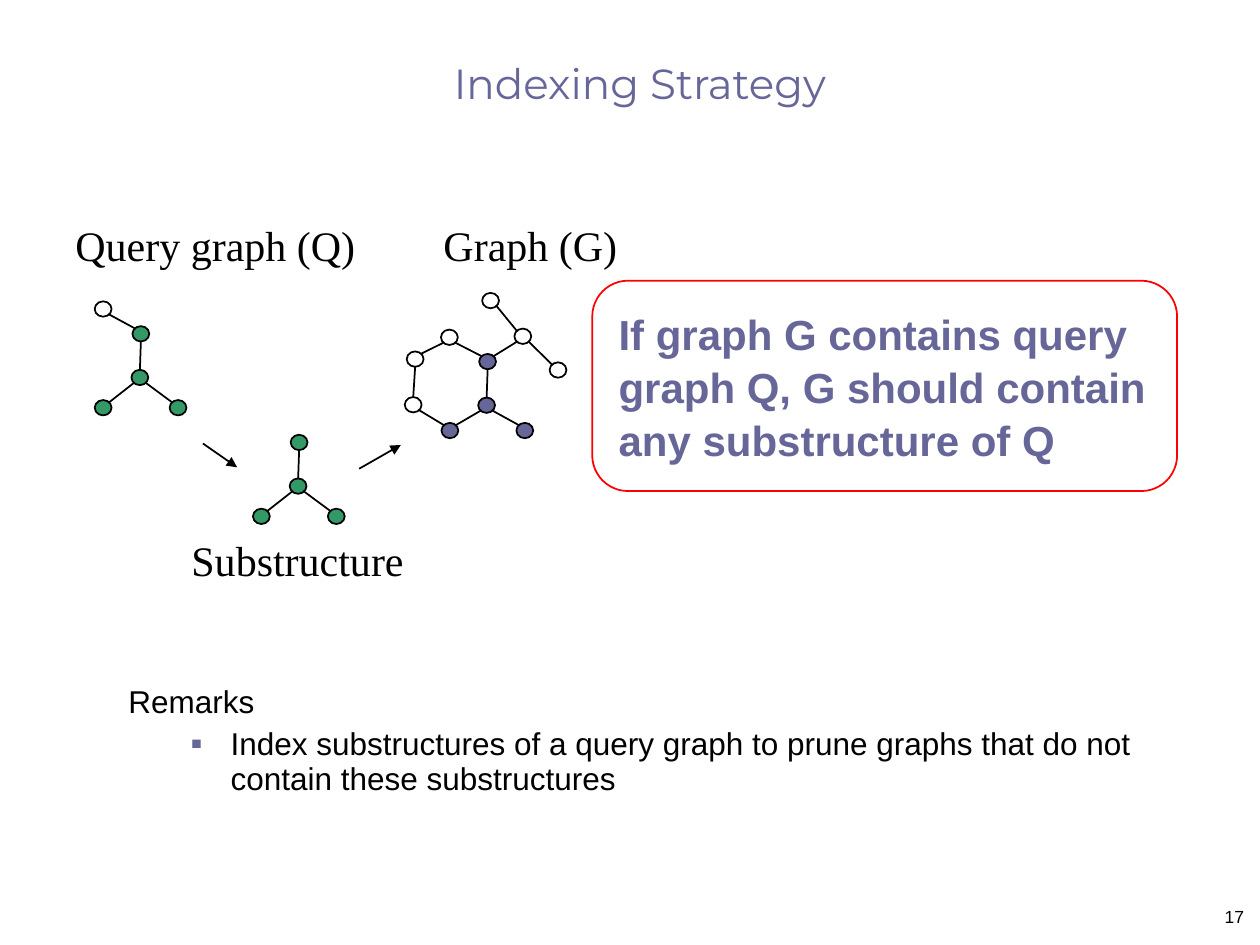
"""Build the slide about the indexing strategy for graph queries."""
from dataclasses import dataclass
from math import sqrt

from lxml import etree
from pptx import Presentation
from pptx.dml.color import RGBColor
from pptx.enum.shapes import MSO_CONNECTOR, MSO_SHAPE
from pptx.enum.text import MSO_ANCHOR, PP_ALIGN
from pptx.oxml.ns import qn
from pptx.util import Cm, Pt

ELLIPSE, ROUNDED = MSO_SHAPE.OVAL, MSO_SHAPE.ROUNDED_RECTANGLE
STRAIGHT = MSO_CONNECTOR.STRAIGHT
LEFT, CENTER, RIGHT = PP_ALIGN.LEFT, PP_ALIGN.CENTER, PP_ALIGN.RIGHT
TOP, BOTTOM = MSO_ANCHOR.TOP, MSO_ANCHOR.BOTTOM
BLACK, VIOLET, GREEN, RED = "000000", "666699", "339966", "FF0000"
NODE_WIDTH, NODE_HEIGHT = 0.34, 0.31


@dataclass(frozen=True)
class Node:
    x: float
    y: float
    fill: str = ""


@dataclass(frozen=True)
class Label:
    words: str
    box: tuple
    size: int = 24
    font: str = "Times New Roman"
    color: str = BLACK
    bold: bool = False
    align: PP_ALIGN = LEFT
    anchor: MSO_ANCHOR = TOP
    wrap: bool = True
    spacing: float = 1.0


def rgb(value: str) -> RGBColor:
    """Turn a hex string into a colour."""
    return RGBColor.from_string(value)


def set_all(target, values: dict) -> None:
    """Set every attribute named in a dict of format values."""
    for name, value in values.items():
        setattr(target, name, value)


def style_font(paragraph, label: Label) -> None:
    """Apply the label's character format to a paragraph."""
    set_all(paragraph.font, {"size": Pt(label.size), "name": label.font, "bold": label.bold})
    paragraph.font.color.rgb = rgb(label.color)


def draw_label(slide, label: Label):
    """Draw a text box and return its text frame."""
    frame = slide.shapes.add_textbox(*map(Cm, label.box)).text_frame
    set_all(frame, {"word_wrap": label.wrap, "vertical_anchor": label.anchor})
    paragraph = frame.paragraphs[0]
    set_all(paragraph, {"text": label.words, "alignment": label.align,
                        "line_spacing": label.spacing})
    style_font(paragraph, label)
    return frame


def draw_outline(slide, kind: MSO_SHAPE, box: tuple, line: str, fill: str = ""):
    """Draw an outlined shape, left open when no fill is given."""
    shape = slide.shapes.add_shape(kind, *map(Cm, box))
    shape.shadow.inherit = False
    if fill:
        shape.fill.solid()
        shape.fill.fore_color.rgb = rgb(fill)
    else:
        shape.fill.background()
    shape.line.color.rgb = rgb(line)
    shape.line.width = Pt(1)
    return shape


def draw_line(slide, ends: tuple, arrow: bool = False) -> None:
    """Draw a straight black line, with an arrowhead if wanted."""
    line = slide.shapes.add_connector(STRAIGHT, *map(Cm, ends))
    line.line.color.rgb = rgb(BLACK)
    line.line.width = Pt(1)
    properties = line._element.spPr
    if arrow:
        etree.SubElement(properties.find(qn("a:ln")), qn("a:tailEnd"), type="triangle")
    etree.SubElement(properties, qn("a:effectLst"))


def rim(node: Node, other: Node) -> tuple:
    """Find the connection site of a node that faces another node."""
    across, down = other.x - node.x, other.y - node.y
    upright = abs(across) < 0.1
    reach = 1 if upright else 1 / sqrt(2)
    side = 0 if upright else (1 if across > 0 else -1)
    return (node.x + side * reach * NODE_WIDTH / 2,
            node.y + (1 if down > 0 else -1) * reach * NODE_HEIGHT / 2)


def draw_graph(slide, nodes: dict, edges: list) -> None:
    """Draw the edges of a graph and then its nodes."""
    for start, end in edges:
        first, second = nodes[start], nodes[end]
        draw_line(slide, rim(first, second) + rim(second, first))
    for node in nodes.values():
        box = (node.x - NODE_WIDTH / 2, node.y - NODE_HEIGHT / 2, NODE_WIDTH, NODE_HEIGHT)
        draw_outline(slide, ELLIPSE, box, BLACK, node.fill)


def star(x: float, y: float, fill: str, drop: float = 0.61) -> dict:
    """Place the shared substructure around its hub."""
    return {"hub": Node(x, y, fill), "top": Node(x + 0.02, y - 0.88, fill),
            "left": Node(x - 0.74, y + drop, fill), "right": Node(x + 0.77, y + drop, fill)}


def add_bullet(frame, label: Label) -> None:
    """Add a square-bulleted remark below the heading."""
    paragraph = frame.add_paragraph()
    properties = paragraph._p.get_or_add_pPr()
    set_all(paragraph, {"text": label.words, "level": 1, "line_spacing": label.spacing,
                        "space_before": Pt(4.5)})
    properties.set("marL", str(Cm(2.06)))
    properties.set("indent", str(Cm(-0.79)))
    color = etree.SubElement(properties, qn("a:buClr"))
    etree.SubElement(color, qn("a:srgbClr"), val=VIOLET)
    etree.SubElement(properties, qn("a:buSzPct"), val="55000")
    etree.SubElement(properties, qn("a:buFont"), typeface="Arial")
    etree.SubElement(properties, qn("a:buChar"), char="■")
    style_font(paragraph, label)


STAR_EDGES = [("hub", "top"), ("hub", "left"), ("hub", "right")]
QUERY = star(2.82, 7.61, GREEN) | {"tip": Node(2.08, 6.23)}
SUBSTRUCTURE = star(6.01, 9.8, GREEN)
GRAPH = star(9.81, 8.17, VIOLET, 0.51) | {
    "ring top": Node(9.06, 6.8), "ring upper": Node(8.37, 7.24), "ring lower": Node(8.33, 8.16),
    "branch": Node(10.54, 6.78), "branch up": Node(9.89, 6.06), "branch down": Node(11.25, 7.46)}
GRAPH_EDGES = STAR_EDGES + [
    ("top", "ring top"), ("ring top", "ring upper"), ("ring upper", "ring lower"),
    ("ring lower", "left"), ("top", "branch"), ("branch", "branch up"), ("branch", "branch down")]
ARROWS = [(4.09, 8.94, 4.78, 9.42), (7.24, 9.45, 8.08, 8.97)]
LABELS = [
    Label("17", (24.26, 18.14, 1.07, 0.84), 10, "Arial", align=RIGHT),
    Label("Indexing Strategy", (1.47, 0.84, 22.86, 1.47), 24, "Montserrat", VIOLET,
          align=CENTER, anchor=BOTTOM),
    Label("Graph (G)", (8.69, 4.3, 4.01, 1.27), wrap=False),
    Label("Substructure", (3.61, 10.65, 4.78, 1.27), wrap=False),
    Label("Query graph (Q)", (1.27, 4.3, 6.35, 1.27)),
    Label("If graph G contains query graph Q, G should contain any substructure of Q",
          (12.22, 6.05, 11.28, 3.3), 24, "Arial", VIOLET, bold=True, spacing=1.05)]
REMARKS = Label("Remarks", (2.34, 13.77, 21.39, 3.81), 18, "Arial", spacing=0.8)
REMARK = Label("Index substructures of a query graph to prune graphs that do not "
               "contain these substructures", (), 18, "Arial", spacing=0.93)


def main() -> None:
    """Build and save the slide."""
    deck = Presentation()
    set_all(deck, {"slide_width": Cm(25.4), "slide_height": Cm(19.05)})
    slide = deck.slides.add_slide(deck.slide_layouts[6])
    draw_graph(slide, QUERY, STAR_EDGES + [("tip", "top")])
    draw_graph(slide, GRAPH, GRAPH_EDGES)
    draw_graph(slide, SUBSTRUCTURE, STAR_EDGES)
    for ends in ARROWS:
        draw_line(slide, ends, arrow=True)
    callout = draw_outline(slide, ROUNDED, (11.94, 5.66, 11.79, 4.24), RED)
    callout.adjustments[0] = 0.17
    for label in LABELS:
        draw_label(slide, label)
    add_bullet(draw_label(slide, REMARKS), REMARK)
    deck.save("out.pptx")


if __name__ == "__main__":
    main()
